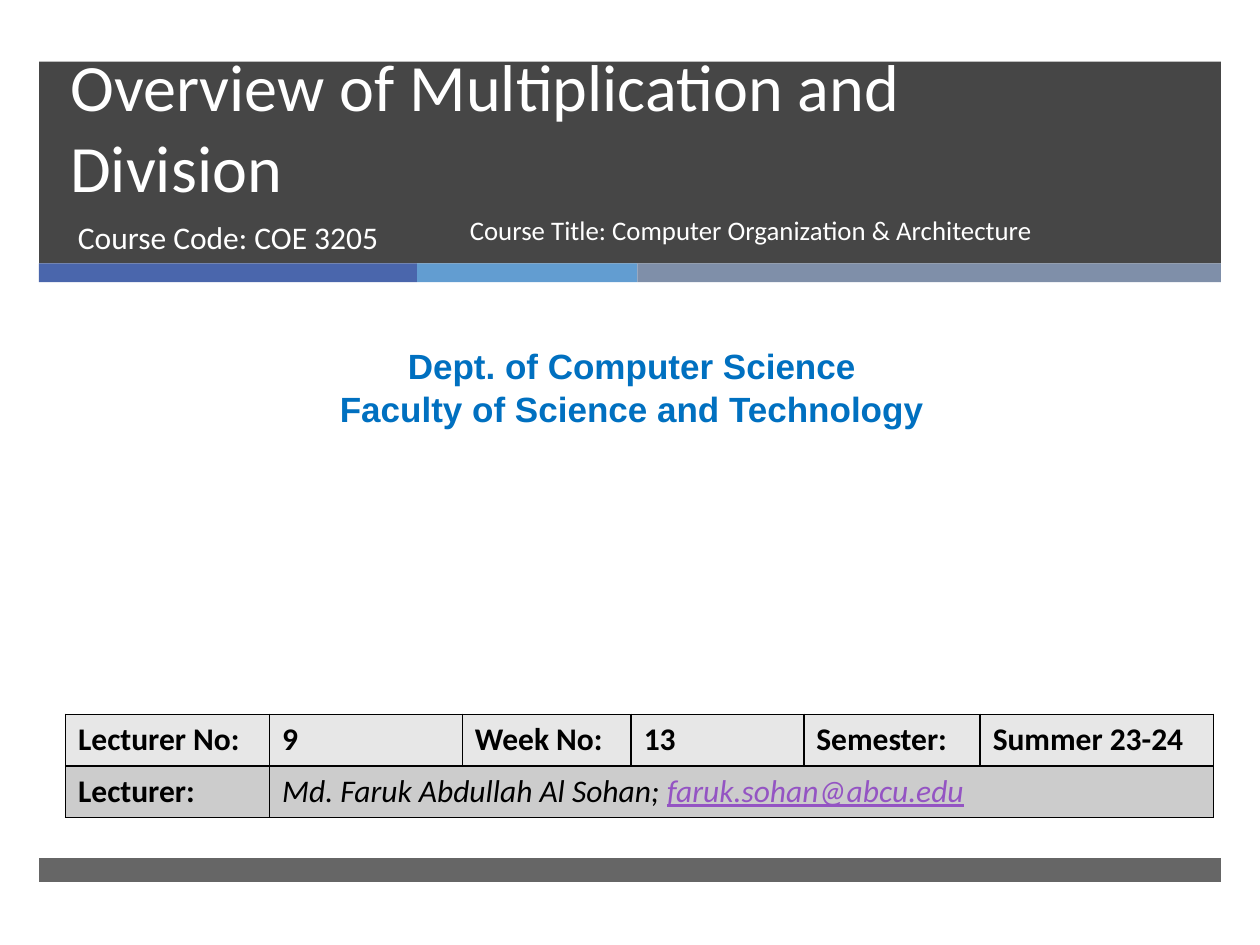
from lxml import etree
from pptx import Presentation
from pptx.dml.color import RGBColor
from pptx.enum.shapes import MSO_SHAPE
from pptx.enum.text import MSO_ANCHOR, PP_ALIGN
from pptx.oxml.ns import qn
from pptx.util import Inches, Pt

RECTANGLE = MSO_SHAPE.RECTANGLE
TOP, BOTTOM = MSO_ANCHOR.TOP, MSO_ANCHOR.BOTTOM
LEFT, CENTER = PP_ALIGN.LEFT, PP_ALIGN.CENTER
BLANK = 6
WHITE, BLACK, CHARCOAL = "FFFFFF", "000000", "262626"
BORDER_TAGS = ("a:lnL", "a:lnR", "a:lnT", "a:lnB")


def rgb(value):
    return RGBColor.from_string(value)


class CoverSlide:
    """Hold the text style and current slide, and draw each kind of element."""

    def __init__(self, page, font="Calibri"):
        self.page = page
        self.font = font

    def bar(self, left, top, width, height, color, opacity=100):
        shape = self.page.shapes.add_shape(
            RECTANGLE, Inches(left), Inches(top), Inches(width), Inches(height))
        shape.shadow.inherit = False
        shape.line.fill.background()
        shape.fill.solid()
        shape.fill.fore_color.rgb = rgb(color)
        if opacity < 100:
            tint = shape.fill._xPr.find(".//" + qn("a:srgbClr"))
            etree.SubElement(tint, qn("a:alpha"), val=str(opacity * 1000))

    def span(self, para, text, size, color, **formats):
        span = para.add_run()
        span.text = text
        span.font.color.rgb = rgb(color)
        values = {"name": self.font, "size": Pt(size), **formats}
        for name, value in values.items():
            setattr(span.font, name, value)

    def text(self, left, top, width, height, lines, size, color,
             anchor=TOP, align=LEFT, spacing=None, **formats):
        box = self.page.shapes.add_textbox(
            Inches(left), Inches(top), Inches(width), Inches(height))
        frame = box.text_frame
        frame.word_wrap = True
        frame.vertical_anchor = anchor
        for index, line in enumerate(lines):
            para = frame.add_paragraph() if index else frame.paragraphs[0]
            para.alignment = align
            para.line_spacing = spacing
            self.span(para, line, size, color, **formats)

    def cell(self, cell, fill):
        cell.fill.solid()
        cell.fill.fore_color.rgb = rgb(fill)
        properties = cell._tc.get_or_add_tcPr()
        for index, tag in enumerate(BORDER_TAGS):
            border = etree.Element(qn(tag), w=str(Pt(1)))
            solid = etree.SubElement(border, qn("a:solidFill"))
            etree.SubElement(solid, qn("a:srgbClr"), val=BLACK)
            properties.insert(index, border)

    def table(self, left, top, widths, row_height, rows, fills):
        table = self.page.shapes.add_table(
            len(rows), len(widths), Inches(left), Inches(top),
            Inches(sum(widths)), Inches(row_height * len(rows))).table
        for column, width in zip(table.columns, widths):
            column.width = Inches(width)
        for row_index, (row, fill) in enumerate(zip(rows, fills)):
            table.rows[row_index].height = Inches(row_height)
            for cell in table.rows[row_index].cells:
                self.cell(cell, fill)
            for column_index, spans in enumerate(row):
                cell = table.cell(row_index, column_index)
                for text, color, formats in spans:
                    self.span(cell.text_frame.paragraphs[0], text, 18, color, **formats)
            if len(row) < len(widths):
                cell.merge(table.cell(row_index, len(widths) - 1))


def main():
    deck = Presentation()
    deck.slide_width, deck.slide_height = Inches(10), Inches(7.5)
    cover = CoverSlide(deck.slides.add_slide(deck.slide_layouts[BLANK]))

    cover.bar(0.31, 0.49, 9.38, 1.6, CHARCOAL, 85)
    left = 0.31
    for width, color in ((3, "4A66AC"), (1.75, "629DD1"), (4.63, "7F8FA9")):
        cover.bar(left, 2.09, width, 0.15, color)
        left += width
    cover.bar(0.31, 6.81, 9.38, 0.19, CHARCOAL, 70)

    cover.text(0.46, 0.49, 8.54, 1.19, ["Overview of Multiplication and Division"],
               37.8, WHITE, anchor=BOTTOM, spacing=Pt(46))
    cover.text(0.52, 1.68, 3.05, 0.53, ["Course Code: COE 3205"], 18, WHITE)
    cover.text(0.08, 2.68, 9.87, 0.77,
               ["Dept. of Computer Science", "Faculty of Science and Technology"],
               20, "0070C0", align=CENTER, spacing=Pt(24.4), name="Arial", bold=True)

    bold, italic = {"bold": True}, {"italic": True}
    labels = ("Lecturer No:", "9", "Week No:", "13", "Semester:", "Summer 23-24")
    lecturer = [("Md. Faruk Abdullah Al Sohan; ", BLACK, italic),
                ("faruk.sohan@abcu.edu", "9454C3", {**italic, "underline": True})]
    rows = [[[(label, BLACK, bold)] for label in labels],
            [[("Lecturer:", BLACK, bold)], lecturer]]
    cover.table(0.52, 5.67, (1.62, 1.53, 1.34, 1.37, 1.4, 1.85), 0.41,
                rows, ("E7E7E7", "CCCCCC"))
    cover.text(3.63, 1.68, 4.69, 0.53,
               ["Course Title: Computer Organization & Architecture"],
               15.3, WHITE, spacing=0.9)

    deck.save("out.pptx")


if __name__ == "__main__":
    main()
